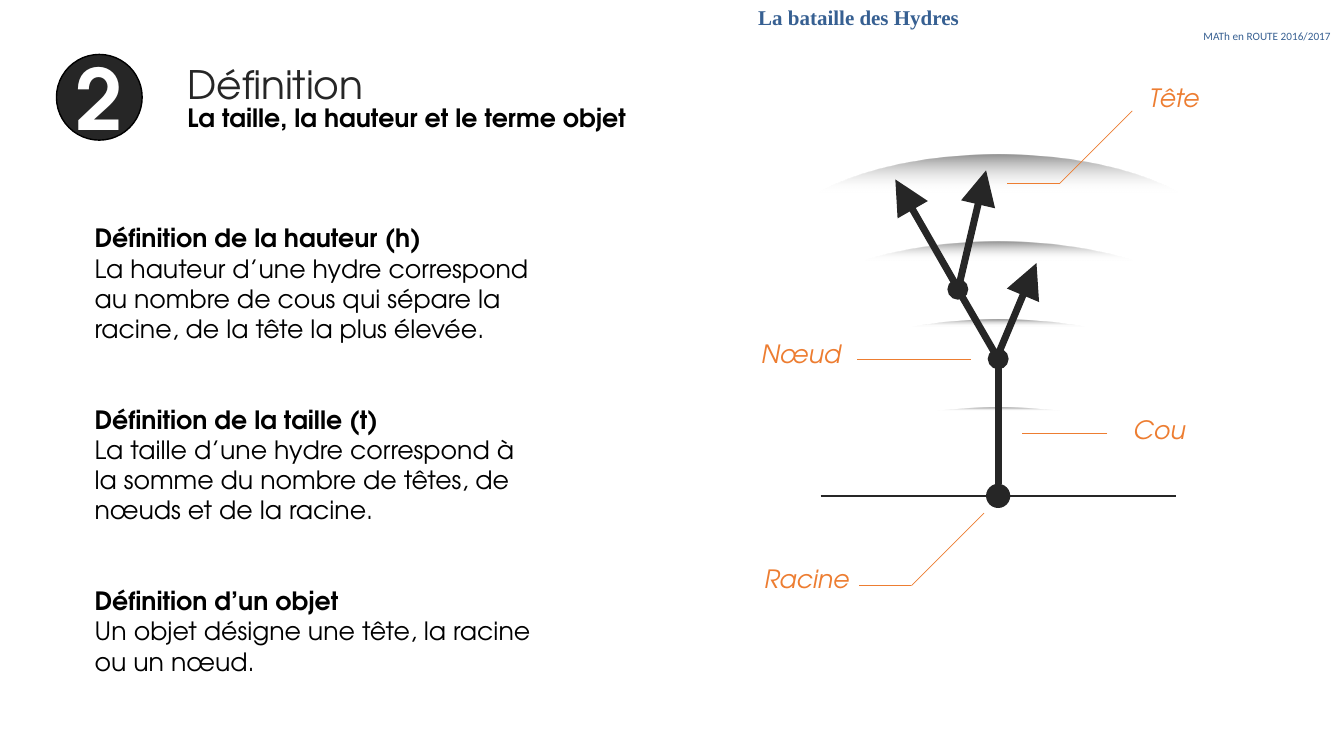
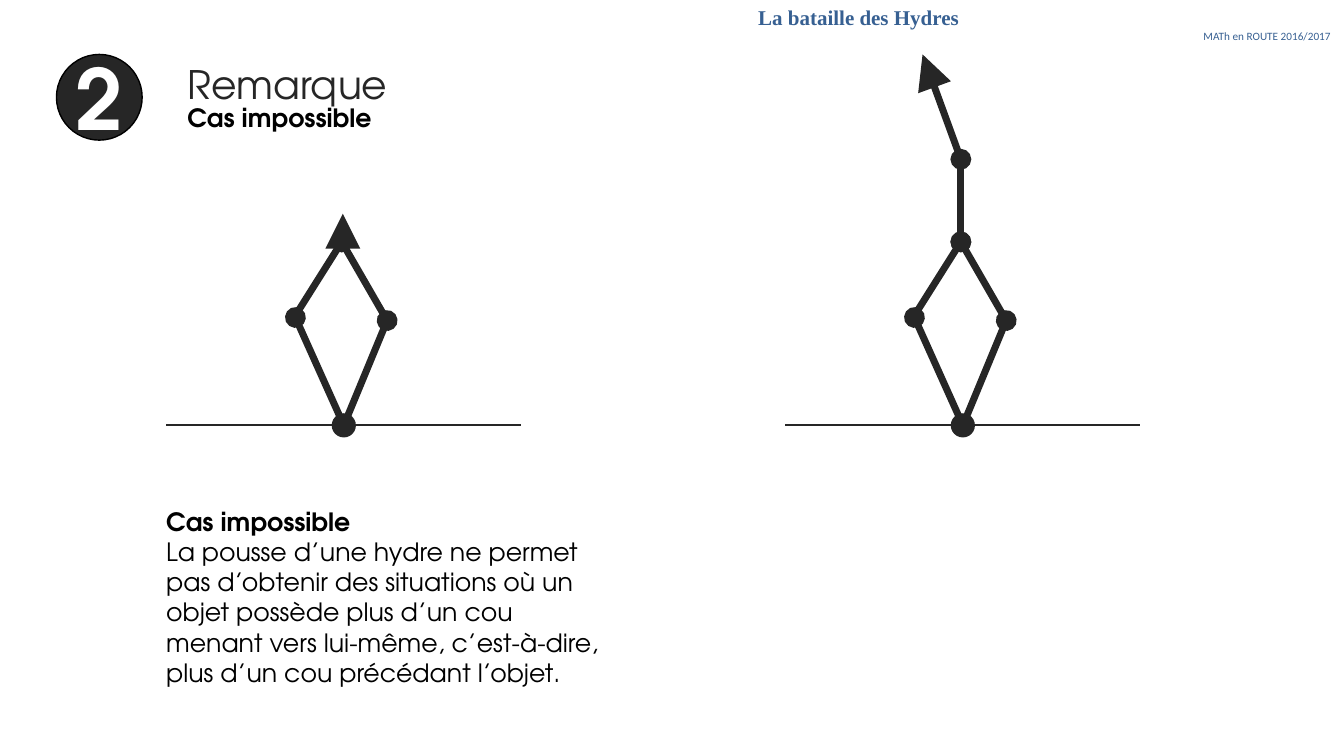
import itertools
import pptx
import pptx.dml.color
import pptx.enum.shapes
import pptx.enum.text
import pptx.oxml.ns
import pptx.util
from lxml import etree

SHAPE = pptx.enum.shapes.MSO_SHAPE
ALIGN = pptx.enum.text.PP_ALIGN
ANCHOR = pptx.enum.text.MSO_ANCHOR
qn = pptx.oxml.ns.qn
inch = pptx.util.Inches

WIDTH, HEIGHT = 13.33, 7.5
INK, BLACK, WHITE, ORANGE, BLUE = "262626", "000000", "FFFFFF", "ED7D31", "376092"
FONT = "TeX Gyre Adventor"
TITLE = dict(name=FONT, size=28, color=INK, bold=False)
BADGE = dict(name=FONT, size=60, color=WHITE, bold=True)
PLAIN = dict(name=FONT, size=18, color=BLACK, bold=False)
STRONG = dict(PLAIN, bold=True)
LABEL = dict(PLAIN, color=ORANGE, italic=True)
EVENT = dict(name="Times New Roman", size=15, color=BLUE, bold=True)
EDITION = dict(name="Calibri", size=8, color=BLUE, bold=False)

HEADER = [("La bataille des Hydres", EVENT, ALIGN.LEFT),
          ("MATh en ROUTE 2016/2017", EDITION, ALIGN.RIGHT)]
CHAPTER = "2"
SECTION_GAP = 43.2
GROUND_HALF, ROOT_SIZE = 1.76, 0.24

DIAMOND = [((0, 0), (0.43, -1.04), "oval"), ((0, 0), (-0.48, -1.07), "oval"),
           ((0.43, -1.04), (-0.02, -1.82), "oval"), ((-0.48, -1.09), (-0.02, -1.82), "oval")]
SLIDES = [
    dict(
        title="Définition", subtitle="La taille, la hauteur et le terme objet",
        body_box=(0.84, 2.16, 4.56, 4.64),
        body=[("Définition de la hauteur (h)",
               "La hauteur d’une hydre correspond au nombre de cous qui sépare la racine, "
               "de la tête la plus élevée."),
              ("Définition de la taille (t)",
               "La taille d’une hydre correspond à la somme du nombre de têtes, de nœuds "
               "et de la racine."),
              ("Définition d’un objet",
               "Un objet désigne une tête, la racine ou un nœud.")],
        levels=[(1.53, 80), (2.4, 90), (3.17, 96), (4.04, 98)],
        hydras=[((9.9, 4.92), [((0, -0.12), (0, -1.36), "oval"),
                               ((0, -1.36), (-0.4, -2.05), "oval"),
                               ((-0.4, -2.06), (-1.02, -3.14), "triangle"),
                               ((-0.39, -2.08), (-0.12, -3.23), "triangle"),
                               ((-0.01, -1.38), (0.38, -2.31), "triangle")])],
        callouts=[("Racine", (7.48, 5.54), [(9.76, 5.09), (9.04, 5.81), (8.52, 5.81)]),
                  ("Nœud", (7.45, 3.31), [(9.63, 3.57), (8.5, 3.57)]),
                  ("Tête", (11.3, 0.77), [(11.23, 1.1), (10.51, 1.82), (9.99, 1.82)]),
                  ("Cou", (11.14, 4.06), [(10.98, 4.3), (10.14, 4.3)])],
    ),
    dict(
        title="Remarque", subtitle="Cas impossible",
        body_box=(1.55, 4.97, 4.56, 1.92),
        body=[("Cas impossible",
               "La pousse d’une hydre ne permet pas d’obtenir des situations où un objet "
               "possède plus d’un cou menant vers lui-même, c’est-à-dire, plus d’un cou "
               "précédant l’objet.")],
        levels=[],
        hydras=[((3.41, 4.22), DIAMOND + [((-0.01, -1.72), (-0.01, -2.1), "triangle")]),
                ((9.55, 4.22), DIAMOND + [((-0.02, -1.83), (-0.02, -2.64), "oval"),
                                          ((-0.02, -2.64), (-0.4, -3.68), "triangle")])],
        callouts=[],
    ),
]


def rgb(value):
    return pptx.dml.color.RGBColor.from_string(value)


def write(paragraph, text, style):
    run = paragraph.add_run()
    run.text = text
    for key, value in style.items():
        if key == "color":
            run.font.color.rgb = rgb(value)
        else:
            setattr(run.font, key, pptx.util.Pt(value) if key == "size" else value)


def fill_frame(frame, lines, **settings):
    for key, value in dict(dict(word_wrap=True, vertical_anchor=ANCHOR.TOP), **settings).items():
        setattr(frame, key, value)
    for index, (text, style, align, *gap) in enumerate(lines):
        paragraph = frame.add_paragraph() if index else frame.paragraphs[0]
        paragraph.alignment = align
        if gap:
            paragraph.space_before = pptx.util.Pt(gap[0])
        write(paragraph, text, style)


def text_box(slide, box, lines, **settings):
    frame = slide.shapes.add_textbox(*map(inch, box)).text_frame
    fill_frame(frame, lines, **settings)


def ellipse(slide, box, color=None):
    disc = slide.shapes.add_shape(SHAPE.OVAL, *map(inch, box))
    disc.shadow.inherit = False
    disc.line.fill.background()
    if color:
        disc.fill.solid()
        disc.fill.fore_color.rgb = rgb(color)
    return disc


def line(slide, start, end, color, width, tip=None):
    stroke = slide.shapes.add_connector(
        pptx.enum.shapes.MSO_CONNECTOR.STRAIGHT, *map(inch, (*start, *end)))
    stroke.line.color.rgb = rgb(color)
    stroke.line.width = pptx.util.Pt(width)
    if tip:
        size = "lg" if tip == "triangle" else "med"
        etree.SubElement(stroke.line._get_or_add_ln(), qn("a:tailEnd"),
                         type=tip, w=size, len=size)
    etree.SubElement(stroke._element.spPr, qn("a:effectLst"))


def level(slide, top, start):
    halo = ellipse(slide, (7.67, top, 4.46, 1.9))
    halo.fill.gradient()
    halo.fill.gradient_angle = 90
    stops = [(start, WHITE, 0), (100, BLACK, 42)]
    for stop, (position, color, opacity) in zip(halo.fill.gradient_stops, stops):
        stop.position = position / 100
        stop.color.rgb = rgb(color)
    for node, (_, _, opacity) in zip(halo._element.spPr.iter(qn("a:srgbClr")), stops):
        etree.SubElement(node, qn("a:alpha"), val=str(opacity * 1000))


def hydra(slide, root, necks):
    x, y = root
    line(slide, (x - GROUND_HALF, y), (x + GROUND_HALF, y), INK, 1.5)
    ellipse(slide, (x - ROOT_SIZE / 2, y - ROOT_SIZE / 2, ROOT_SIZE, ROOT_SIZE), INK)
    for start, end, tip in necks:
        line(slide, *[(x + dx, y + dy) for dx, dy in (start, end)], INK, 5, tip)


def heading(slide, title, subtitle):
    holder = slide.shapes.title
    places = dict(left=1.76, top=0.55, width=5.46, height=0.57)
    for key, value in places.items():
        setattr(holder, key, inch(value))
    fill_frame(holder.text_frame, [(title, TITLE, ALIGN.LEFT)],
               auto_size=pptx.enum.text.MSO_AUTO_SIZE.NONE)
    text_box(slide, (1.76, 0.97, 5.46, 0.4), [(subtitle, STRONG, ALIGN.LEFT)])
    badge = ellipse(slide, (0.56, 0.54, 0.85, 0.85), INK)
    badge.line.color.rgb = rgb(BLACK)
    badge.line.width = pptx.util.Pt(1)
    fill_frame(badge.text_frame, [(CHAPTER, BADGE, ALIGN.CENTER)], word_wrap=False,
               vertical_anchor=ANCHOR.MIDDLE, margin_left=0, margin_right=0,
               margin_top=0, margin_bottom=0)
    text_box(slide, (7.45, -0.03, 5.82, 0.53), HEADER, vertical_anchor=ANCHOR.MIDDLE,
             margin_left=inch(0.07), margin_right=inch(0.07),
             margin_top=inch(0.04), margin_bottom=inch(0.04))


def build(deck, content):
    slide = deck.slides.add_slide(deck.slide_layouts[5])
    for top, start in content["levels"]:
        level(slide, top, start)
    for root, necks in content["hydras"]:
        hydra(slide, root, necks)
    heading(slide, content["title"], content["subtitle"])
    lines = []
    for term, meaning in content["body"]:
        lines.append((term, STRONG, ALIGN.LEFT, SECTION_GAP if lines else 0))
        lines.append((meaning, PLAIN, ALIGN.LEFT))
    text_box(slide, content["body_box"], lines)
    for name, corner, points in content["callouts"]:
        text_box(slide, (*corner, 1.36, 0.4), [(name, LABEL, ALIGN.LEFT)])
        for start, end in itertools.pairwise(points):
            line(slide, start, end, ORANGE, 0.5)


def main():
    deck = pptx.Presentation()
    deck.slide_width, deck.slide_height = inch(WIDTH), inch(HEIGHT)
    for content in SLIDES:
        build(deck, content)
    deck.save("out.pptx")


if __name__ == "__main__":
    main()
